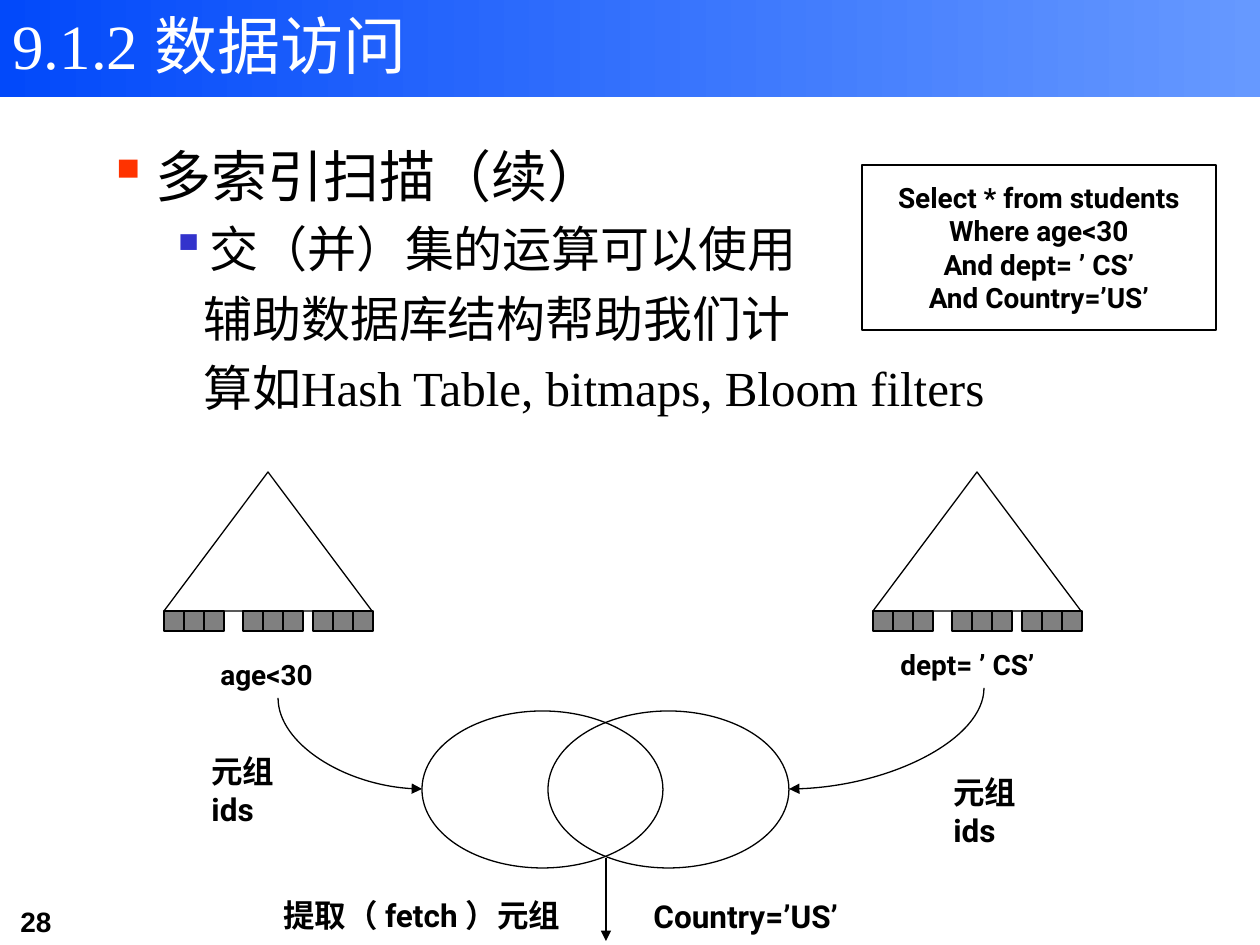
"""Build the slide on multi-index scans: query, two indexes and the intersection of their tuple ids."""
import pptx
import pptx.dml.color
import pptx.enum.dml
import pptx.enum.shapes
import pptx.enum.text
import pptx.oxml.ns
import pptx.util
from lxml import etree

PX = 914400 / 126
THEME = {
    "ink": "000000", "paper": "FFFFFF", "leaf": "808080",
    "band": ("0249FA", "6699FF"), "bullets": ("FF3300", "3333CC"),
    "serif": "Times New Roman", "cjk": "Noto Sans CJK SC", "sans": "Roboto", "number": "Arial",
    "title": 36, "topic": 32, "detail": 28, "label": 18, "small": 16, "line": 0.75,
}
SHAPE = pptx.enum.shapes.MSO_SHAPE
CONNECTOR = pptx.enum.shapes.MSO_CONNECTOR
qn = pptx.oxml.ns.qn


def px(*lengths):
    return [round(length * PX) for length in lengths]


def write(frame, text, *, size, font, color=THEME["ink"], bold=False, align=None, wrap=True,
          bullet=None, margin=0, indent=0, before=0, new=False, join=False):
    frame.word_wrap = wrap
    for number, line in enumerate(text.split("\n")):
        paragraph = frame.add_paragraph() if new or number else frame.paragraphs[-1]
        if align:
            paragraph.alignment = align
        if not join:
            properties = paragraph._p.get_or_add_pPr()
            properties.set("marL", str(px(margin)[0]))
            properties.set("indent", str(px(indent)[0]))
            if bullet:
                paint = etree.SubElement(properties, qn("a:buClr"))
                etree.SubElement(paint, qn("a:srgbClr"), val=bullet)
                etree.SubElement(properties, qn("a:buChar"), char="▪")
            else:
                etree.SubElement(properties, qn("a:buNone"))
            paragraph.space_before = pptx.util.Pt(before)
        run = paragraph.add_run()
        run.text = line
        run.font.size = pptx.util.Pt(size)
        run.font.name = font
        run.font.bold = bold
        run.font.color.rgb = pptx.dml.color.RGBColor.from_string(color)


deck = pptx.Presentation()
deck.slide_width, deck.slide_height = px(1260, 945)
slide = deck.slides.add_slide(deck.slide_layouts[6])
shapes = slide.shapes

band = shapes.add_shape(SHAPE.RECTANGLE, *px(0, 0, 1260, 97))
band.shadow.inherit = False
band.line.fill.background()
band.fill.gradient()
band.fill.gradient_angle = 0
for stop, color in zip(band.fill.gradient_stops, THEME["band"]):
    stop.color.rgb = pptx.dml.color.RGBColor.from_string(color)

page = shapes.add_textbox(*px(8, 898, 154, 47)).text_frame
write(page, "28", size=THEME["small"], font=THEME["number"], bold=True)

topic = shapes.add_textbox(*px(95, 135, 1071, 317)).text_frame
write(topic, "多索引扫描（续）", size=THEME["topic"], font=THEME["serif"],
      bullet=THEME["bullets"][0], margin=48, indent=-48)
write(topic, "交（并）集的运算可以使用", size=THEME["detail"], font=THEME["serif"],
      bullet=THEME["bullets"][1], margin=102, indent=-39, before=6, new=True)
write(topic, "辅助数据库结构帮助我们计\n算如Hash Table, bitmaps, Bloom filters",
      size=THEME["detail"], font=THEME["serif"], margin=96, before=6, new=True)

title = shapes.add_textbox(*px(0, 0, 990, 97)).text_frame
write(title, "9.1.2 ", size=THEME["title"], font=THEME["serif"], color=THEME["paper"])
write(title, "数据访问", size=THEME["title"], font=THEME["cjk"], color=THEME["paper"], join=True)

figures = [(SHAPE.RECTANGLE, (862, 165, 354, 165), THEME["paper"])]
for index_left in (164, 873):
    figures.append((SHAPE.ISOSCELES_TRIANGLE, (index_left, 472, 208, 139), THEME["paper"]))
    for node in (0, 79, 149):
        for leaf in range(3):
            figures.append((SHAPE.RECTANGLE, (index_left + node + 20 * leaf, 611, 20, 20), THEME["leaf"]))
for set_left in (422, 548):
    figures.append((SHAPE.OVAL, (set_left, 711, 241, 157), None))

drawn = []
for kind, place, fill in figures:
    figure = shapes.add_shape(kind, *px(*place))
    figure.shadow.inherit = False
    if fill:
        figure.fill.solid()
        figure.fill.fore_color.rgb = pptx.dml.color.RGBColor.from_string(fill)
    else:
        figure.fill.background()
    drawn.append(figure)

query = drawn[0].text_frame
query.vertical_anchor = pptx.enum.text.MSO_ANCHOR.MIDDLE
write(query, "Select * from students\nWhere age<30\nAnd dept= ’ CS’\nAnd Country=’US’",
      size=THEME["small"], font=THEME["sans"], bold=True, wrap=False,
      align=pptx.enum.text.PP_ALIGN.CENTER)

for label, place, size in (
    ("age<30", (208, 651, 141, 47), THEME["small"]),
    ("dept= ’ CS’", (888, 641, 192, 47), THEME["small"]),
    ("元组\nids", (199, 746, 135, 50), THEME["label"]),
    ("元组\nids", (941, 767, 135, 50), THEME["label"]),
    ("Country=’US’", (641, 891, 336, 50), THEME["label"]),
    ("提取（ fetch ）元组", (271, 890, 437, 50), THEME["label"]),
):
    write(shapes.add_textbox(*px(*place)).text_frame, label, size=size, font=THEME["sans"], bold=True)

arrows = [shapes.add_connector(CONNECTOR.STRAIGHT, *px(606, 858, 606, 941))]
for start_x, start_y, end_x, end_y in ((278, 698, 422, 789), (984, 688, 789, 789)):
    rightward = end_x > start_x
    middle_x, middle_y = (start_x + end_x) / 2, (start_y + end_y) / 2
    half_width, half_height = (end_y - start_y) / 2, abs(end_x - start_x) / 2
    side = half_width if rightward else -half_width
    flow = shapes.add_connector(CONNECTOR.CURVE, *px(middle_x + side, middle_y - half_height,
                                                     middle_x - side, middle_y + half_height))
    flow._element.spPr.find(qn("a:xfrm")).set("rot", str((270 if rightward else 90) * 60000))
    flow._element.spPr.find(qn("a:prstGeom")).set("prst", "curvedConnector2")
    arrows.append(flow)

for outlined in drawn + arrows:
    outlined.line.color.rgb = pptx.dml.color.RGBColor.from_string(THEME["ink"])
    outlined.line.width = pptx.util.Pt(THEME["line"])
for arrow in arrows:
    etree.SubElement(arrow.line._get_or_add_ln(), qn("a:tailEnd"), type="triangle")
    etree.SubElement(arrow._element.spPr, qn("a:effectLst"))

deck.save("out.pptx")
